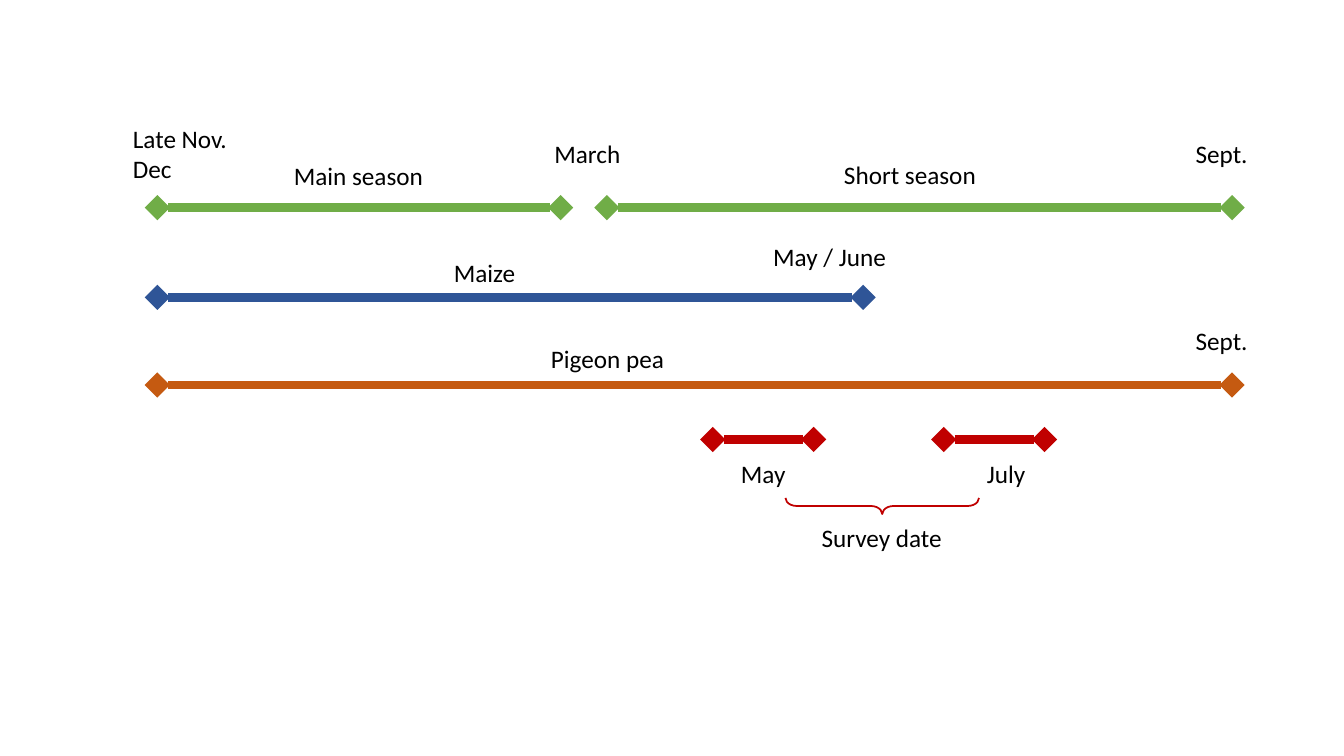
from lxml.etree import SubElement
from pptx import Presentation
from pptx.dml.color import RGBColor
from pptx.enum.shapes import MSO_CONNECTOR, MSO_SHAPE
from pptx.enum.text import MSO_AUTO_SIZE, PP_ALIGN
from pptx.oxml.ns import qn
from pptx.util import Inches, Pt

BLACK = RGBColor(0x00, 0x00, 0x00)
GREEN = RGBColor(0x70, 0xAD, 0x47)
BLUE = RGBColor(0x2F, 0x55, 0x97)
ORANGE = RGBColor(0xC5, 0x5A, 0x11)
RED = RGBColor(0xC0, 0x00, 0x00)

# Shared dates on the time axis
PLANTING, SEPTEMBER = 1.56, 12.22
SEASON_Y, MAIZE_Y, PEA_Y, SURVEY_Y = 2.06, 2.95, 3.82, 4.36

# Start, end, height, colour
PERIODS = [
    (PLANTING, 5.56, SEASON_Y, GREEN),
    (6.02, SEPTEMBER, SEASON_Y, GREEN),
    (PLANTING, 8.56, MAIZE_Y, BLUE),
    (PLANTING, SEPTEMBER, PEA_Y, ORANGE),
    (7.07, 8.07, SURVEY_Y, RED),
    (9.36, 10.36, SURVEY_Y, RED),
]

# Text, left, top, width
PERIOD_NAMES = [
    ("Main season", 2.72, 1.54, 1.67),
    ("Short season", 8.19, 1.53, 1.67),
    ("Maize", 3.97, 2.5, 1.67),
    ("Pigeon pea", 5.19, 3.36, 1.67),
    ("May", 7.19, 4.5, 0.76),
    ("July", 9.6, 4.5, 0.76),
    ("Survey date", 8.01, 5.13, 1.47),
]
DATES = [
    ("March", 5.4, 1.32, 0.89),
    ("Sept.", 11.76, 1.32, 0.89),
    ("May / June", 7.57, 2.34, 1.45),
    ("Sept.", 11.76, 3.18, 0.89),
]


def add_label(slide, text, left, top, width, height=0.4, *,
              align=PP_ALIGN.LEFT, size=18, color=BLACK, font="Calibri"):
    label = slide.shapes.add_textbox(
        Inches(left), Inches(top), Inches(width), Inches(height))
    frame = label.text_frame
    frame.word_wrap = True
    frame.auto_size = MSO_AUTO_SIZE.SHAPE_TO_FIT_TEXT
    paragraph = frame.paragraphs[0]
    paragraph.alignment = align
    run = paragraph.add_run()
    run.text = text
    run.font.name = font
    run.font.size = Pt(size)
    run.font.color.rgb = color


def add_period(slide, start, end, y, color):
    """Draw a thick horizontal line with a diamond at each end."""
    period = slide.shapes.add_connector(
        MSO_CONNECTOR.STRAIGHT, Inches(start), Inches(y), Inches(end), Inches(y))
    period.line.color.rgb = color
    period.line.width = Pt(6)
    outline = period.line._get_or_add_ln()
    for end_tag in ("a:headEnd", "a:tailEnd"):
        SubElement(outline, qn(end_tag), type="diamond")
    SubElement(period._element.spPr, qn("a:effectLst"))


def add_survey_brace(slide):
    brace = slide.shapes.add_shape(
        MSO_SHAPE.RIGHT_BRACE, Inches(8.67), Inches(4.06), Inches(0.16), Inches(1.92))
    brace.rotation = 90
    brace.adjustments[0] = 0.71
    brace.adjustments[1] = 0.5
    brace.shadow.inherit = False
    brace.fill.background()
    brace.line.color.rgb = RED
    brace.line.width = Pt(1.25)


def main():
    presentation = Presentation()
    presentation.slide_width = Inches(13.33)
    presentation.slide_height = Inches(7.5)
    slide = presentation.slides.add_slide(presentation.slide_layouts[6])

    # Seasons, crops and survey periods
    for period in PERIODS:
        add_period(slide, *period)

    # Names of the periods
    for name in PERIOD_NAMES:
        add_label(slide, *name, align=PP_ALIGN.CENTER)

    # Start and end dates
    add_label(slide, "Late Nov. Dec", 1.22, 1.17, 1.17, 0.71)
    for date in DATES:
        add_label(slide, *date)

    # Brace joining the two survey months
    add_survey_brace(slide)

    presentation.save("out.pptx")


main()
